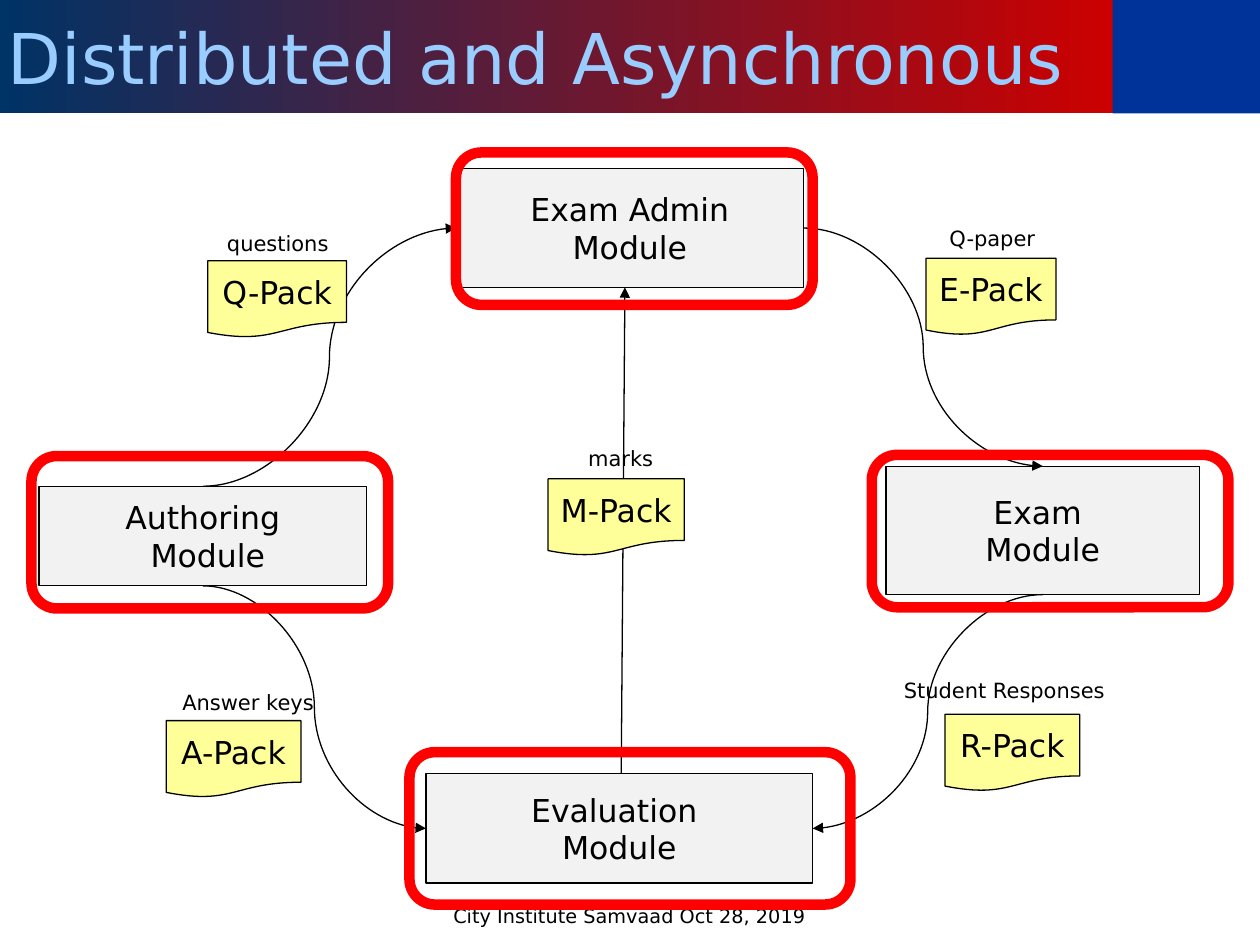
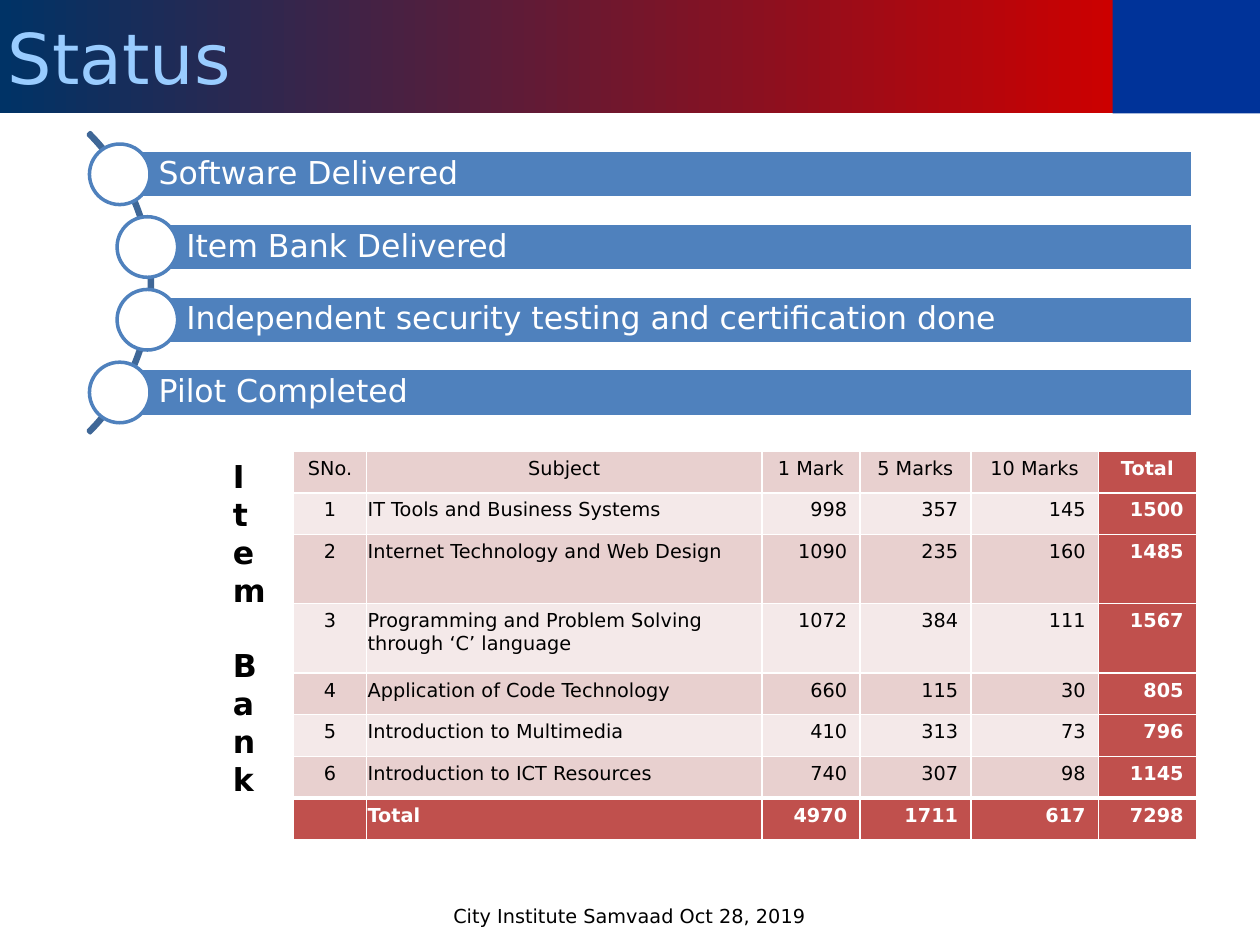
from lxml import etree
from pptx import Presentation
from pptx import util as u
from pptx.dml.color import RGBColor
from pptx.enum import shapes, text
from pptx.oxml.ns import qn

Pt = u.Pt
SHAPE = shapes.MSO_SHAPE
ALIGN = text.PP_ALIGN
MIDDLE = text.MSO_ANCHOR.MIDDLE

FONT = "DejaVu Sans"
BLACK, WHITE, RED = "000000", "FFFFFF", "FF0000"
NAVY, TITLE_BLUE, BAND_ENDS = "003399", "99CCFF", ("003366", "CC0000")
MODULE_GREY, PACK_YELLOW = "F2F2F2", "FFFF99"
BAR_BLUE, ARC_BLUE = "4F81BD", "3F6797"
TOTAL_RED, ROW_DARK, ROW_LIGHT = "C0504D", "E8D0CF", "F4E9E9"

FOOTER = "City Institute Samvaad Oct 28, 2019"
PADDING = (7.2, 3.6, 7.2, 3.6)

# Boxes are (left, top, width, height)
MODULES = {
    "admin": (("Exam Admin", "Module"), (260.6, 96.5, 198.7, 67.7)),
    "authoring": (("Authoring", " Module"), (22.3, 277.9, 187.2, 56.9)),
    "exam": (("Exam ", "Module"), (506.2, 266.4, 179.3, 73.4)),
    "evaluation": (("Evaluation ", "Module"), (243.4, 442.1, 221, 62.6)),
}
FLOWS = [
    ("authoring", "top", "admin", "left"),
    ("exam", "bottom", "evaluation", "right"),
    ("admin", "right", "exam", "top"),
    ("authoring", "bottom", "evaluation", "left"),
]
MARKS_FLOW = ((355, 442.1), (357.1, 164.2))
PACK_HEIGHT, LABEL_HEIGHT = 43.9, 21.8
# pack, (left, top, width), label, (left, top, width)
PACKS = [
    ("Q-Pack", (118.8, 149, 79.2), "questions", (119.5, 128.2, 78.5)),
    ("E-Pack", (529.2, 147.6, 74.2), "Q-paper", (527.8, 125.3, 78.5)),
    ("R-Pack", (540, 408.2, 77), "Student Responses", (506.2, 383.8, 135.4)),
    ("A-Pack", (95, 411.8, 77), "Answer keys", (95, 390.2, 93.6)),
    ("M-Pack", (313.2, 273.6, 77.8), "marks", (315.4, 251.3, 78.5)),
]
FRAME_HEIGHT = 87.1
FRAMES = [(18, 260.6, 203.8), (260.6, 87.1, 203.8),
          (498.2, 259.9, 203.8), (234, 429.8, 252)]

# milestone, left edge of its bar
MILESTONES = [
    ("Software Delivered", 68.4),
    ("Item Bank Delivered", 84.2),
    ("Independent security testing and certification done", 84.2),
    ("Pilot Completed", 68.4),
]
BAR_TOP, BAR_STEP, BAR_HEIGHT, BAR_RIGHT, DOT = 85.9, 41.55, 27.4, 681.8, 34.6

ITEM_BANK = [
    ("SNo.", "Subject", "1 Mark", "5 Marks", "10 Marks", "Total"),
    ("1", "IT Tools and Business Systems", 998, 357, 145, 1500),
    ("2", "Internet Technology and Web Design", 1090, 235, 160, 1485),
    ("3", "Programming and Problem Solving through ‘C’ language",
     1072, 384, 111, 1567),
    ("4", "Application of Code Technology", 660, 115, 30, 805),
    ("5", "Introduction to Multimedia", 410, 313, 73, 796),
    ("6", "Introduction to ICT Resources", 740, 307, 98, 1145),
    ("", "Total", 4970, 1711, 617, 7298),
]
COLUMN_WIDTHS = [41.6, 226, 56, 63.4, 72.9, 56]
ROW_HEIGHTS = [23.8, 23.8, 39.6, 39.6, 23.8, 23.8, 23.8, 23.8]


def rgb(value):
    return RGBColor.from_string(value)


def points(values):
    return [Pt(value) for value in values]


def write(frame, lines, size, color=BLACK, align=ALIGN.CENTER, bold=False):
    for index, line in enumerate(lines):
        para = frame.paragraphs[0] if index == 0 else frame.add_paragraph()
        para.alignment = align
        span = para.add_run()
        span.text = line
        span.font.name = FONT
        span.font.size = Pt(size)
        span.font.bold = bold
        span.font.color.rgb = rgb(color)


def pad(target, padding):
    """Set the inner margins of a text frame or a table cell."""
    (target.margin_left, target.margin_top,
     target.margin_right, target.margin_bottom) = points(padding)


def add_box(page, kind, box, fill=None, line=None, width=0.75):
    shape = page.shapes.add_shape(kind, *points(box))
    shape.shadow.inherit = False
    if fill:
        shape.fill.solid()
        shape.fill.fore_color.rgb = rgb(fill)
    else:
        shape.fill.background()
    if line:
        shape.line.color.rgb = rgb(line)
        shape.line.width = Pt(width)
    else:
        shape.line.fill.background()
    return shape


def add_caption(page, kind, box, fill, lines):
    """Add an outlined shape with centred, unwrapped text."""
    frame = add_box(page, kind, box, fill, BLACK).text_frame
    frame.word_wrap = False
    frame.vertical_anchor = MIDDLE
    pad(frame, PADDING)
    write(frame, lines, 18)


def add_label(page, box, words, size, bold=False):
    frame = page.shapes.add_textbox(*points(box)).text_frame
    frame.word_wrap = True
    pad(frame, PADDING)
    write(frame, [words], size, bold=bold)


def add_arrow(page, kind, start, end):
    arrow = page.shapes.add_connector(kind, *points((*start, *end)))
    arrow.line.color.rgb = rgb(BLACK)
    arrow.line.width = Pt(0.75)
    etree.SubElement(arrow.line._get_or_add_ln(), qn("a:tailEnd"), type="triangle")
    etree.SubElement(arrow._element.spPr, qn("a:effectLst"))


def side_point(box, side):
    """Middle of one side of a box."""
    left, top, width, height = box
    across, down = {"left": (0, 0.5), "right": (1, 0.5),
                    "top": (0.5, 0), "bottom": (0.5, 1)}[side]
    return left + across * width, top + down * height


def start_page(deck, heading):
    """Add a slide with the title band, corner block and footer."""
    page = deck.slides.add_slide(deck.slide_layouts[5])
    add_box(page, SHAPE.RECTANGLE, (635.8, 0, 84.2, 64.8), NAVY)
    title = page.shapes.title
    title.left, title.top, title.width, title.height = points((0, 0, 636.5, 64.8))
    title.fill.gradient()
    title.fill.gradient_angle = 0
    for stop, color in zip(title.fill.gradient_stops, BAND_ENDS):
        stop.color.rgb = rgb(color)
    frame = title.text_frame
    frame.auto_size = text.MSO_AUTO_SIZE.NONE
    frame.word_wrap = True
    frame.vertical_anchor = MIDDLE
    pad(frame, (4.5, 3.6, 4.5, 3.6))
    write(frame, [heading], 40, TITLE_BLUE, ALIGN.LEFT)
    add_label(page, (203.8, 513.4, 311.8, 15.8), FOOTER, 11)
    return page


def build_flow_page(deck):
    page = start_page(deck, "Distributed and Asynchronous")
    for lines, box in MODULES.values():
        add_caption(page, SHAPE.RECTANGLE, box, MODULE_GREY, lines)
    for source, exit_side, target, entry_side in FLOWS:
        add_arrow(page, shapes.MSO_CONNECTOR.CURVE,
                  side_point(MODULES[source][1], exit_side),
                  side_point(MODULES[target][1], entry_side))
    add_arrow(page, shapes.MSO_CONNECTOR.STRAIGHT, *MARKS_FLOW)
    for pack, pack_place, label, label_place in PACKS:
        add_caption(page, SHAPE.FLOWCHART_DOCUMENT, (*pack_place, PACK_HEIGHT),
                    PACK_YELLOW, [pack])
        add_label(page, (*label_place, LABEL_HEIGHT), label, 12)
    for place in FRAMES:
        add_box(page, SHAPE.ROUNDED_RECTANGLE, (*place, FRAME_HEIGHT), None, RED, 6)


def add_milestones(page):
    arc = add_box(page, SHAPE.BLOCK_ARC, (-155.5, 40.3, 242.6, 242.6),
                  None, ARC_BLUE, 2)
    for index, value in enumerate((189, 27, 0.007)):
        arc.adjustments[index] = value
    for index, (milestone, left) in enumerate(MILESTONES):
        top = BAR_TOP + index * BAR_STEP
        bar = add_box(page, SHAPE.RECTANGLE,
                      (left, top, BAR_RIGHT - left, BAR_HEIGHT), BAR_BLUE, WHITE, 2)
        frame = bar.text_frame
        frame.word_wrap = True
        frame.vertical_anchor = MIDDLE
        pad(frame, (22.3, 3.6, 3.6, 3.6))
        write(frame, [milestone], 18, WHITE, ALIGN.LEFT)
        frame.paragraphs[0].line_spacing = 0.9
        frame.paragraphs[0].space_after = Pt(6.3)
        add_box(page, SHAPE.OVAL,
                (left - DOT / 2, top + (BAR_HEIGHT - DOT) / 2, DOT, DOT),
                WHITE, BAR_BLUE, 2)


def set_borders(cell, top, bottom):
    properties = cell._tc.get_or_add_tcPr()
    for side, width in (("L", 0.96), ("R", 0.96), ("T", top), ("B", bottom)):
        line = etree.SubElement(properties, qn("a:ln" + side), w=str(Pt(width)))
        solid = etree.SubElement(line, qn("a:solidFill"))
        etree.SubElement(solid, qn("a:srgbClr"), val=WHITE)


def add_item_bank(page):
    box = (167.8, 257.8, sum(COLUMN_WIDTHS), sum(ROW_HEIGHTS))
    table = page.shapes.add_table(len(ITEM_BANK), len(COLUMN_WIDTHS),
                                  *points(box)).table
    table.first_row = table.horz_banding = False
    for column, width in zip(table.columns, COLUMN_WIDTHS):
        column.width = Pt(width)
    for row, height in zip(table.rows, ROW_HEIGHTS):
        row.height = Pt(height)
    last_row, last_column = len(ITEM_BANK) - 1, len(COLUMN_WIDTHS) - 1
    for r, values in enumerate(ITEM_BANK):
        for c, value in enumerate(values):
            cell = table.cell(r, c)
            is_total = r == last_row or c == last_column
            is_number = r > 0 and c > 1
            if is_number:
                align = ALIGN.RIGHT
            else:
                align = ALIGN.LEFT if r > 0 and c == 1 else ALIGN.CENTER
            side = 7.2 if is_number else 0.7
            edge = 3.6 if value != "" else 0
            pad(cell, (side, edge, side, edge))
            set_borders(cell, 3 if r == last_row else 0.96,
                        3 if r == last_row - 1 else 0.96)
            cell.fill.solid()
            band = ROW_LIGHT if r % 2 else ROW_DARK
            cell.fill.fore_color.rgb = rgb(TOTAL_RED if is_total else band)
            write(cell.text_frame, [str(value)], 11,
                  WHITE if is_total else BLACK, align, is_total)


def build_status_page(deck):
    page = start_page(deck, "Status")
    add_milestones(page)
    add_item_bank(page)
    # The narrow box stacks the letters one under another
    add_label(page, (126, 257.8, 16.6, 216.7), "Item Bank", 18, bold=True)


def main():
    deck = Presentation()
    deck.slide_width, deck.slide_height = Pt(720), Pt(540)
    build_flow_page(deck)
    build_status_page(deck)
    deck.save("out.pptx")


if __name__ == "__main__":
    main()
